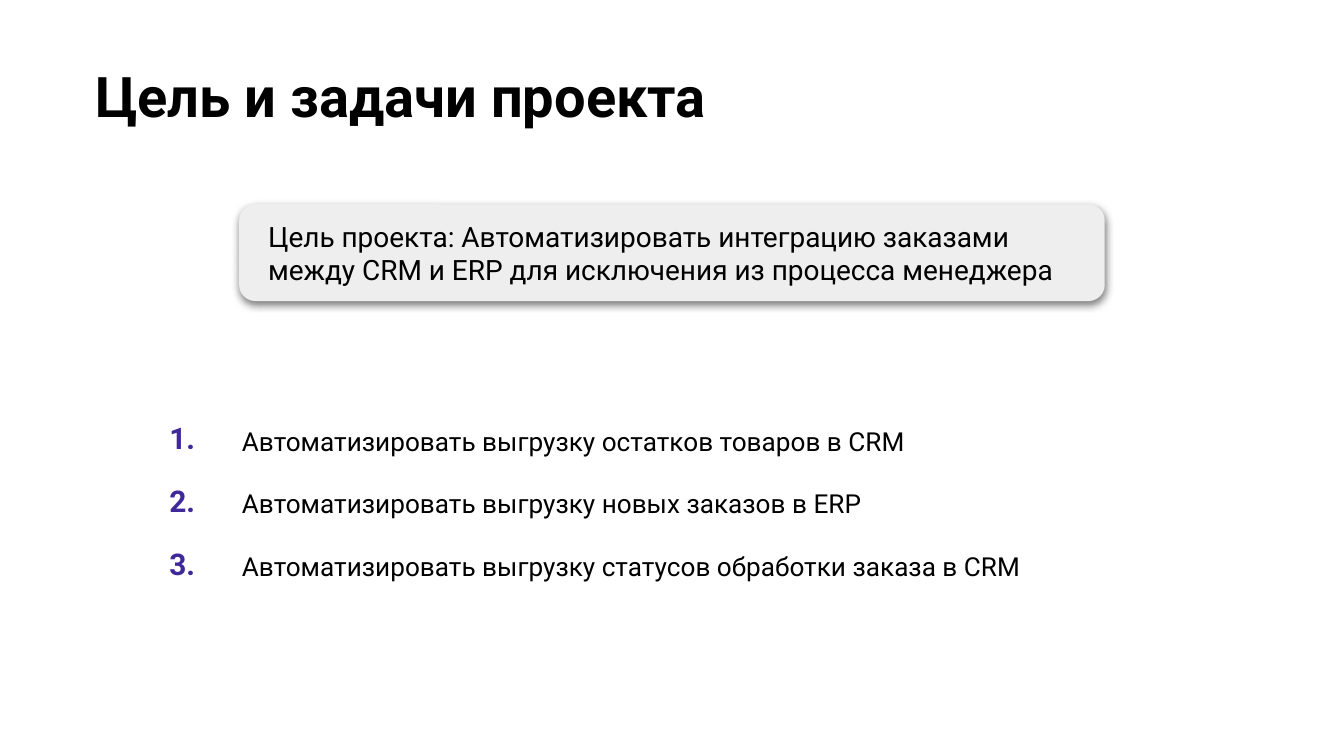
from lxml import etree
from pptx import Presentation
from pptx.dml.color import RGBColor
from pptx.enum.shapes import MSO_SHAPE
from pptx.enum.text import MSO_ANCHOR, PP_ALIGN
from pptx.oxml import parse_xml
from pptx.oxml.ns import nsdecls, qn
from pptx.util import Inches, Pt

COLORS = {"text": "000000", "number": "3F299A", "panel": "EEEEEE"}
FONT = "Roboto"
NO_STYLE_NO_GRID = "{2D5ABB26-0587-4C30-8999-92F81FD0307C}"
TASKS = [
    "Автоматизировать выгрузку остатков товаров в CRM",
    "Автоматизировать выгрузку новых заказов в ERP",
    "Автоматизировать выгрузку статусов обработки заказа в CRM",
]


def write(tf, text, size, color="text", bold=False):
    tf.word_wrap = True
    tf.text = text
    p = tf.paragraphs[0]
    p.alignment = PP_ALIGN.LEFT
    font = p.runs[0].font
    font.name, font.size, font.bold = FONT, Pt(size), bold
    font.color.rgb = RGBColor.from_string(COLORS[color])
    return p


def set_margins(box, left, right):
    box.margin_left, box.margin_right = Inches(left), Inches(right)
    box.margin_top = box.margin_bottom = Inches(0.1)


prs = Presentation()
prs.slide_width = Inches(10)
prs.slide_height = Inches(10) * 9 // 16  # widescreen
s = prs.slides.add_slide(prs.slide_layouts[6])

# Title
title = s.shapes.add_textbox(Inches(0.61), Inches(0.36), Inches(9.32), Inches(1.43))
set_margins(title.text_frame, 0.1, 0.1)
write(title.text_frame, "Цель и задачи проекта", 30, bold=True)

# Numbered tasks
frame = s.shapes.add_table(len(TASKS), 2, Inches(1.04), Inches(3.04),
                           Inches(7.92), Inches(0.45 * len(TASKS)))
table = frame.table
table.first_row = table.horz_banding = False
table._tbl.tblPr.find(qn("a:tableStyleId")).text = NO_STYLE_NO_GRID
table.columns[0].width, table.columns[1].width = Inches(0.54), Inches(7.38)
for i, task in enumerate(TASKS):
    number, label = table.cell(i, 0), table.cell(i, 1)
    for cell in (number, label):
        set_margins(cell, 0.22, 0.1)
        cell.fill.background()
    write(number.text_frame, f"{i + 1}.", 16, "number", bold=True)
    write(label.text_frame, task, 14).line_spacing = 1.15

# Project goal panel
goal = s.shapes.add_shape(MSO_SHAPE.ROUNDED_RECTANGLE, Inches(1.78), Inches(1.52),
                          Inches(6.44), Inches(0.72))
goal.fill.solid()
goal.fill.fore_color.rgb = RGBColor.from_string(COLORS["panel"])
goal.line.fill.background()
goal.shadow.inherit = False
effects = goal._element.spPr.find(qn("a:effectLst"))
effects.append(parse_xml(
    f'<a:outerShdw {nsdecls("a")} blurRad="{Pt(4.5)}" dist="{Pt(1.5)}" dir="5400000" '
    'algn="bl" rotWithShape="0"/>'))
shade = etree.SubElement(effects[0], qn("a:srgbClr"), val=COLORS["text"])
etree.SubElement(shade, qn("a:alpha"), val="50000")
set_margins(goal.text_frame, 0.18, 0.18)
goal.text_frame.vertical_anchor = MSO_ANCHOR.MIDDLE
write(goal.text_frame, "Цель проекта: Автоматизировать интеграцию заказами "
      "между CRM и ERP для исключения из процесса менеджера", 15)

prs.save("out.pptx")
